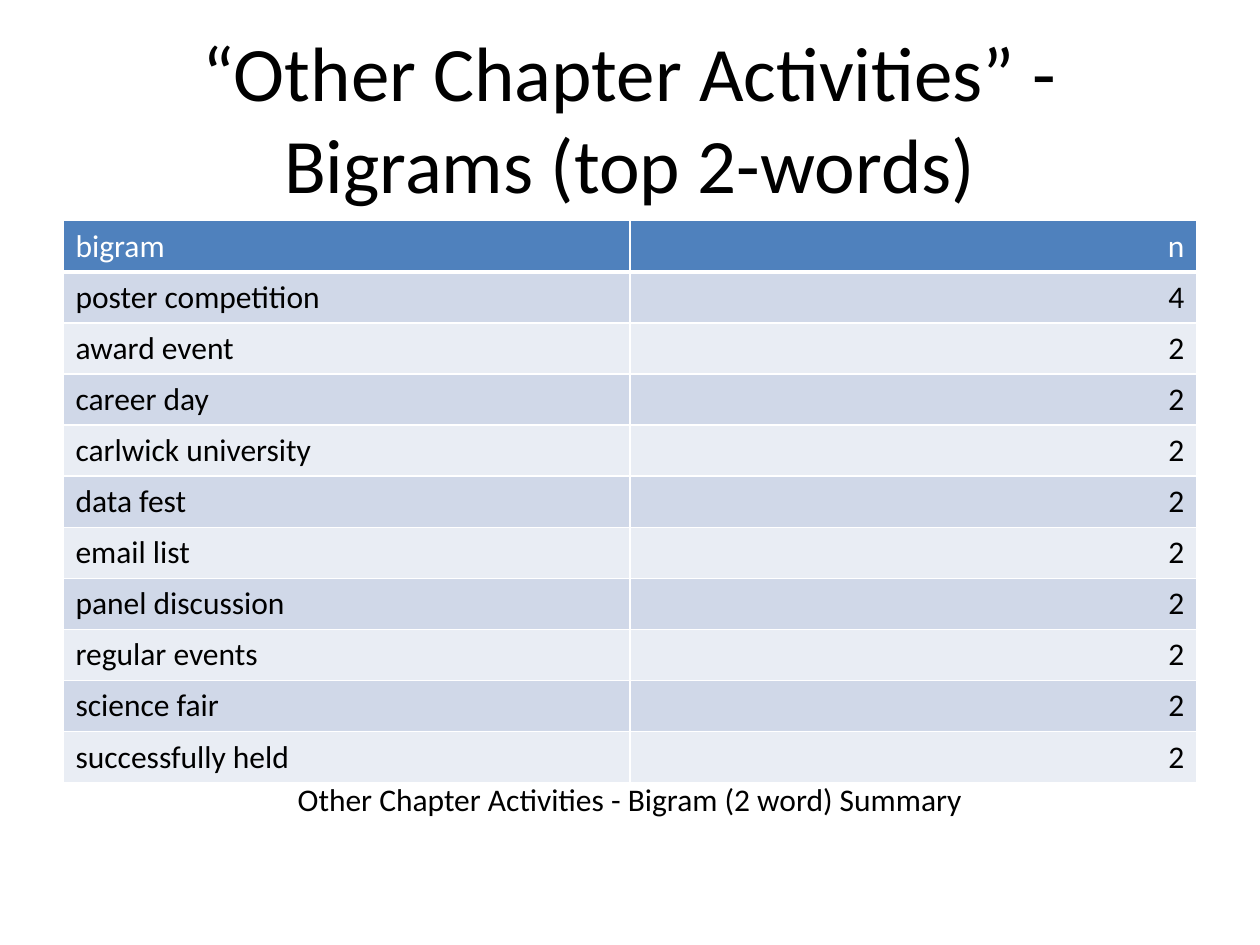
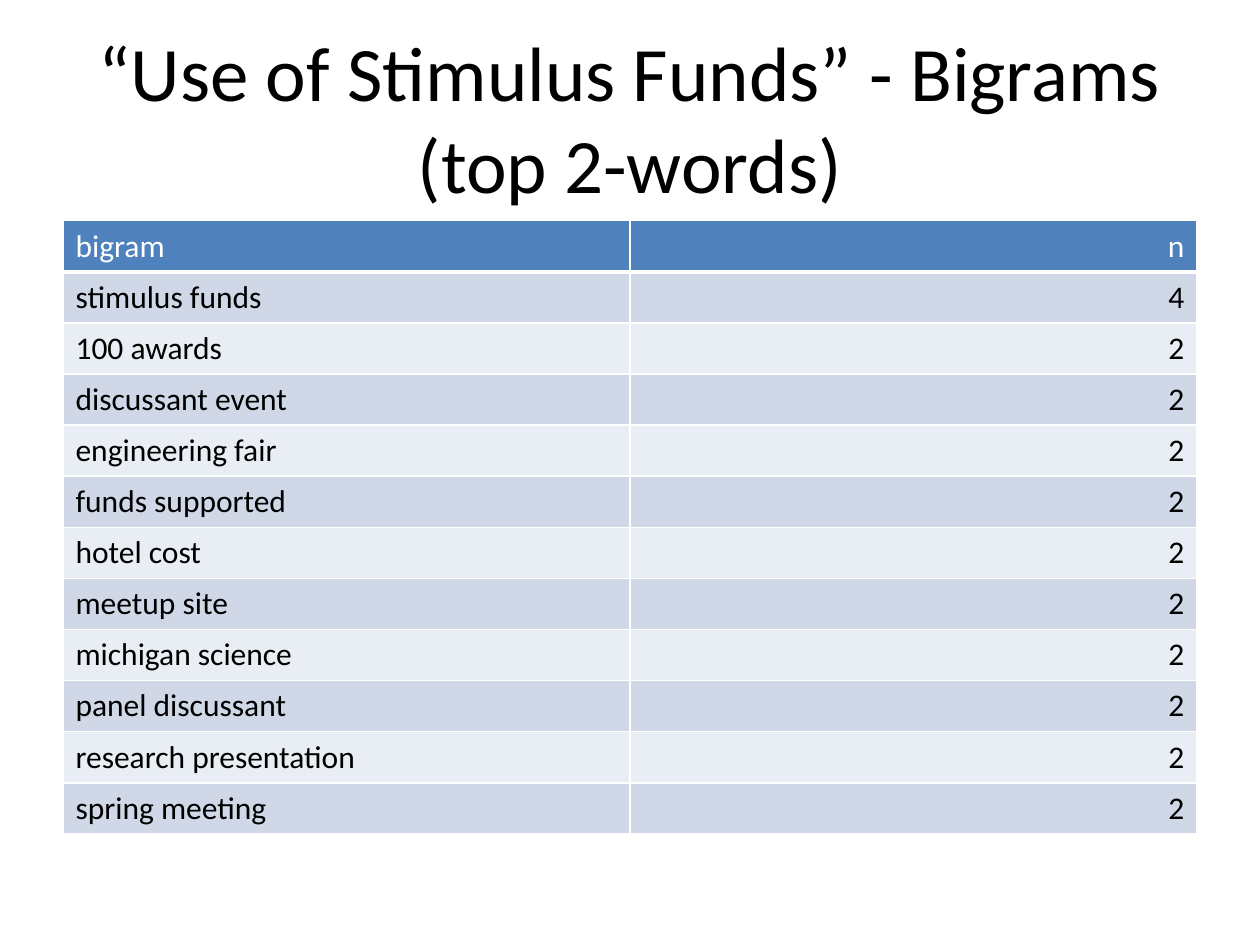
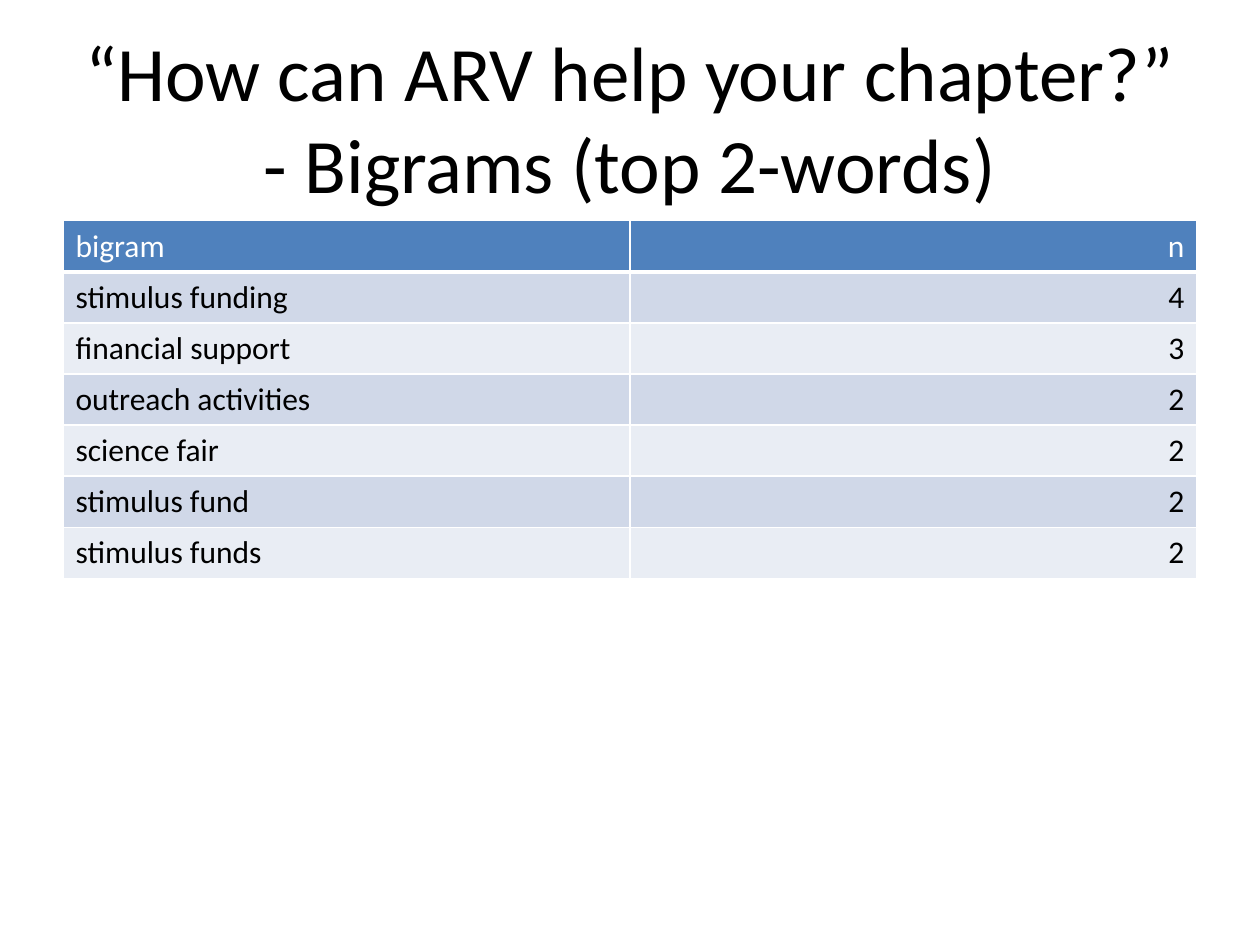
from dataclasses import dataclass

from lxml import etree
from pptx import Presentation
from pptx.dml.color import RGBColor
from pptx.enum.text import MSO_ANCHOR, PP_ALIGN
from pptx.oxml.ns import qn
from pptx.util import Cm, Pt

LEFT, CENTER, RIGHT = PP_ALIGN.LEFT, PP_ALIGN.CENTER, PP_ALIGN.RIGHT
TOP, MIDDLE = MSO_ANCHOR.TOP, MSO_ANCHOR.MIDDLE


@dataclass(frozen=True)
class Theme:
    """Colours, font and type sizes of the deck."""
    font: str = "Calibri"
    title: Pt = Pt(44)
    body: Pt = Pt(18)
    ink: RGBColor = RGBColor(0, 0, 0)
    white: RGBColor = RGBColor(255, 255, 255)
    header: RGBColor = RGBColor(0x4F, 0x81, 0xBD)
    bands: tuple = (RGBColor(0xD0, 0xD8, 0xE8), RGBColor(0xE9, 0xED, 0xF4))


T = Theme()
MARGIN, WIDTH = Cm(1.27), Cm(22.86)
TITLE_TOP, TITLE_HEIGHT = Cm(0.76), Cm(3.18)
TABLE_TOP, ROW_HEIGHT = Cm(4.45), Cm(1.03)
CAPTION_TOP, CAPTION_HEIGHT = Cm(15.6), Cm(1.42)

SLIDES = [
    ("“Other Chapter Activities” - Bigrams (top 2-words)",
     [("poster competition", 4), ("award event", 2), ("career day", 2),
      ("carlwick university", 2), ("data fest", 2), ("email list", 2),
      ("panel discussion", 2), ("regular events", 2), ("science fair", 2),
      ("successfully held", 2)],
     "Other Chapter Activities - Bigram (2 word) Summary"),
    ("“Use of Stimulus Funds” - Bigrams (top 2-words)",
     [("stimulus funds", 4), ("100 awards", 2), ("discussant event", 2),
      ("engineering fair", 2), ("funds supported", 2), ("hotel cost", 2),
      ("meetup site", 2), ("michigan science", 2), ("panel discussant", 2),
      ("research presentation", 2), ("spring meeting", 2)],
     None),
    ("“How can ARV help your chapter?” - Bigrams (top 2-words)",
     [("stimulus funding", 4), ("financial support", 3),
      ("outreach activities", 2), ("science fair", 2), ("stimulus fund", 2),
      ("stimulus funds", 2)],
     None),
]


def write(tf, text, align, color=T.ink, size=T.body):
    """Put one formatted run into a text frame."""
    p = tf.paragraphs[0]
    p.alignment = align
    r = p.add_run()
    r.text = text
    for name, value in {"name": T.font, "size": size, "bold": False}.items():
        setattr(r.font, name, value)
    r.font.color.rgb = color


def add_borders(cell, bottom):
    """Draw white cell borders, the bottom one with its own width."""
    tc_pr = cell._tc.get_or_add_tcPr()
    widths = {"a:lnL": Pt(1), "a:lnR": Pt(1), "a:lnT": Pt(1), "a:lnB": bottom}
    for i, (tag, width) in enumerate(widths.items()):
        ln = etree.Element(qn(tag), w=str(width))
        fill = etree.SubElement(ln, qn("a:solidFill"))
        etree.SubElement(fill, qn("a:srgbClr"), val=str(T.white))
        tc_pr.insert(i, ln)


prs = Presentation()
prs.slide_width, prs.slide_height = Cm(25.4), Cm(19.05)

for title, bigrams, caption in SLIDES:
    s = prs.slides.add_slide(prs.slide_layouts[6])

    boxes = [(title, TITLE_TOP, TITLE_HEIGHT, MIDDLE, T.title)]
    if caption:
        boxes.append((caption, CAPTION_TOP, CAPTION_HEIGHT, TOP, T.body))
    for text, top, height, anchor, size in boxes:
        tf = s.shapes.add_textbox(MARGIN, top, WIDTH, height).text_frame
        tf.word_wrap = True
        tf.vertical_anchor = anchor
        write(tf, text, CENTER, size=size)

    rows = [("bigram", "n")] + bigrams
    table = s.shapes.add_table(len(rows), 2, MARGIN, TABLE_TOP, WIDTH,
                               ROW_HEIGHT * len(rows)).table
    for i, row in enumerate(rows):
        is_header = i == 0
        fill = T.header if is_header else T.bands[(i - 1) % 2]
        for j, (value, align) in enumerate(zip(row, (LEFT, RIGHT))):
            cell = table.cell(i, j)
            cell.fill.solid()
            cell.fill.fore_color.rgb = fill
            add_borders(cell, Pt(3) if is_header else Pt(1))
            write(cell.text_frame, str(value), align,
                  T.white if is_header else T.ink)

prs.save("out.pptx")
